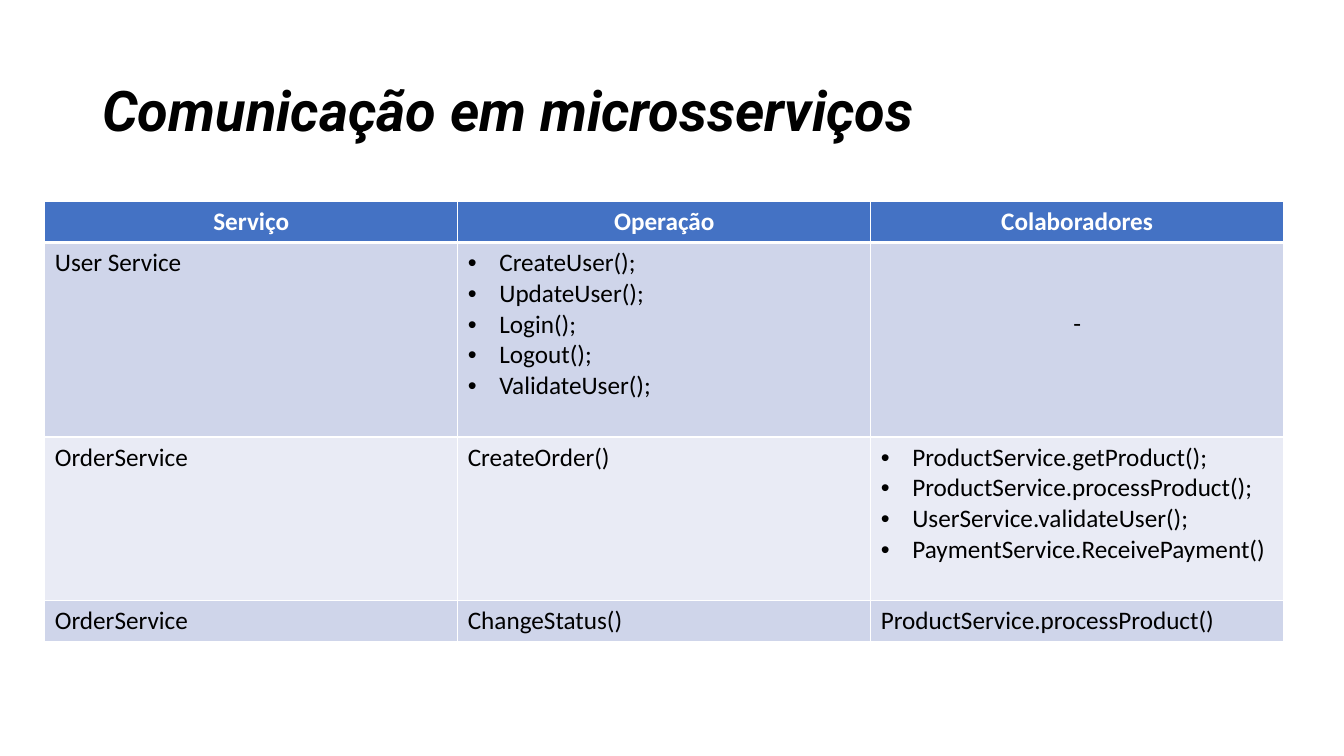
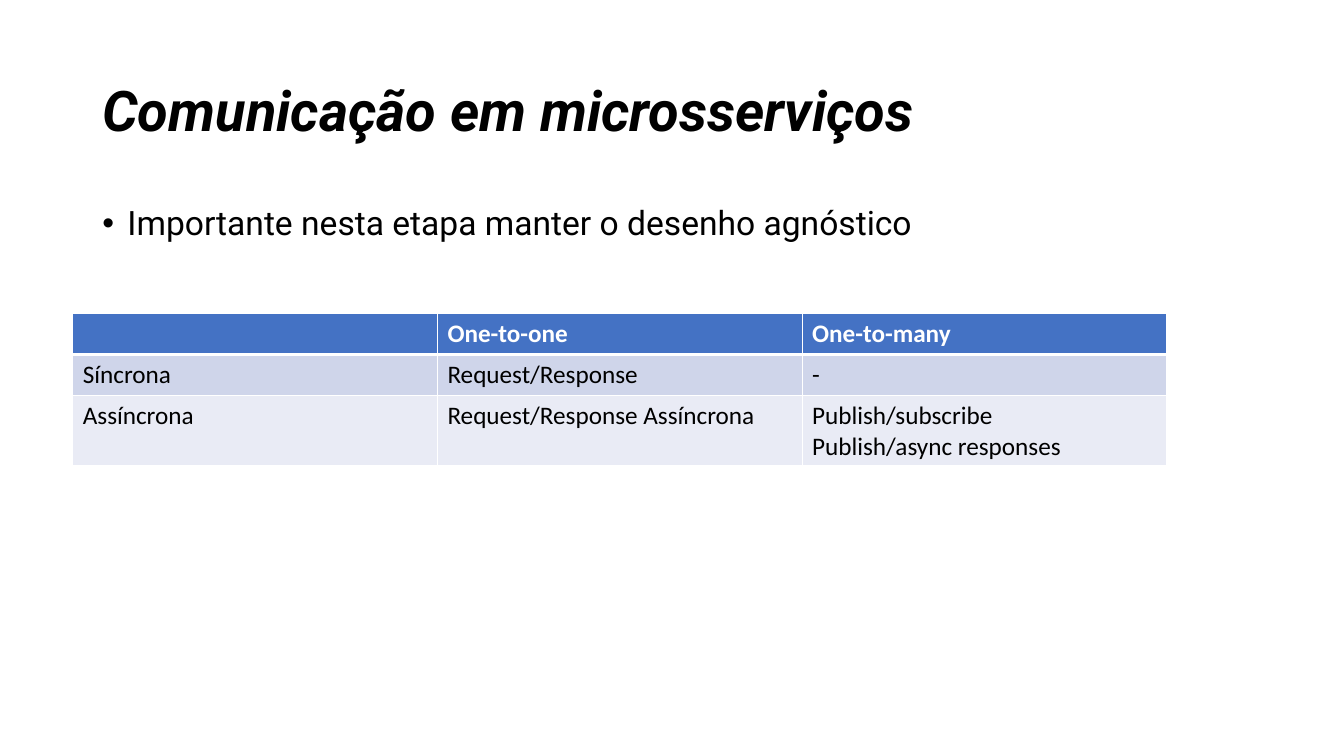
from lxml import etree
from pptx import Presentation
from pptx.dml.color import RGBColor
from pptx.enum import text
from pptx.oxml import ns
from pptx.util import Pt

BLACK = RGBColor(0x00, 0x00, 0x00)
WHITE = RGBColor(0xFF, 0xFF, 0xFF)
HEADER_BLUE = RGBColor(0x44, 0x72, 0xC4)
BANDS = (RGBColor(0xCF, 0xD5, 0xEA), RGBColor(0xE9, 0xEB, 0xF5))

HEADING_FONT = "Roboto"
TABLE_FONT = "Calibri"
TABLE_SIZE = Pt(18)
TITLE = "Comunicação em microsserviços"
ROW_HEIGHT = Pt(29.2)
LEFT = text.PP_ALIGN.LEFT
CENTER = text.PP_ALIGN.CENTER


class Deck:
    def __init__(self):
        self.presentation = Presentation()
        self.presentation.slide_width = Pt(960)
        self.presentation.slide_height = Pt(540)
        self.slide = None

    def add_slide(self, title):
        layout = self.presentation.slide_layouts.get_by_name("Title Only")
        self.slide = self.presentation.slides.add_slide(layout)
        shape = self.slide.shapes.title
        shape.left, shape.top, shape.width, shape.height = Pt(66), Pt(28.75), Pt(828), Pt(104.4)
        frame = shape.text_frame
        frame.text = title
        frame.auto_size = text.MSO_AUTO_SIZE.NONE
        frame.vertical_anchor = text.MSO_ANCHOR.MIDDLE
        paragraph = frame.paragraphs[0]
        paragraph.alignment = LEFT
        paragraph.line_spacing = 0.9
        self.set_font(paragraph, HEADING_FONT, Pt(40), bold=True)
        paragraph.font.italic = True

    def add_bullet_text(self, content, left, top, width, height):
        frame = self.slide.shapes.add_textbox(left, top, width, height).text_frame
        frame.word_wrap = True
        frame.text = content
        for paragraph in frame.paragraphs:
            paragraph.line_spacing = 0.9
            self.set_font(paragraph, HEADING_FONT, Pt(24))
            self.set_bullet(paragraph, Pt(18))

    def add_table(self, rows, left, top, column_width, row_heights, header_alignment=LEFT):
        """Add a banded table; a list in a cell becomes bulleted paragraphs."""
        columns = len(rows[0])
        table = self.slide.shapes.add_table(
            len(rows), columns, left, top, column_width * columns, sum(row_heights)
        ).table
        for column in table.columns:
            column.width = column_width
        for row_index, (values, height) in enumerate(zip(rows, row_heights)):
            table.rows[row_index].height = height
            for column_index, value in enumerate(values):
                self.fill_cell(table.cell(row_index, column_index), value, row_index, header_alignment)
        return table

    def fill_cell(self, cell, value, row_index, header_alignment):
        is_header = row_index == 0
        self.set_borders(cell, row_index)
        cell.fill.solid()
        cell.fill.fore_color.rgb = HEADER_BLUE if is_header else BANDS[(row_index - 1) % 2]
        bulleted = isinstance(value, list)
        cell.text = "\n".join(value) if bulleted else value
        for paragraph in cell.text_frame.paragraphs:
            paragraph.alignment = header_alignment if is_header else LEFT
            self.set_font(paragraph, TABLE_FONT, TABLE_SIZE, WHITE if is_header else BLACK, is_header)
            if bulleted:
                self.set_bullet(paragraph, Pt(22.5))

    @staticmethod
    def set_borders(cell, row_index):
        """Draw thin white borders, with a thick one under the header."""
        thick_side = {0: "lnB", 1: "lnT"}.get(row_index)
        properties = cell._tc.get_or_add_tcPr()
        for side in ("lnL", "lnR", "lnT", "lnB"):
            width = Pt(3 if side == thick_side else 1)
            line = etree.SubElement(properties, ns.qn(f"a:{side}"), w=str(width))
            fill = etree.SubElement(line, ns.qn("a:solidFill"))
            etree.SubElement(fill, ns.qn("a:srgbClr"), val=str(WHITE))

    @staticmethod
    def set_font(paragraph, name, size, color=BLACK, bold=False):
        font = paragraph.font
        font.name, font.size, font.bold = name, size, bold
        font.color.rgb = color

    @staticmethod
    def set_bullet(paragraph, indent):
        properties = paragraph._p.get_or_add_pPr()
        properties.set("marL", str(indent))
        properties.set("indent", str(-indent))
        bullet_font = properties.makeelement(ns.qn("a:buFont"), {"typeface": "Arial"})
        bullet = properties.makeelement(ns.qn("a:buChar"), {"char": "•"})
        defaults = properties.find(ns.qn("a:defRPr"))
        defaults.addprevious(bullet_font)
        defaults.addprevious(bullet)


def add_operations_slide(deck):
    deck.add_slide(TITLE)
    rows = [
        ["Serviço", "Operação", "Colaboradores"],
        [
            "User Service",
            ["CreateUser();", "UpdateUser();", "Login();", "Logout();", "ValidateUser();"],
            "-",
        ],
        [
            "OrderService",
            "CreateOrder()",
            [
                "ProductService.getProduct();",
                "ProductService.processProduct();",
                "UserService.validateUser();",
                "PaymentService.ReceivePayment()",
            ],
        ],
        ["OrderService", "ChangeStatus()", "ProductService.processProduct()"],
    ]
    heights = [ROW_HEIGHT, Pt(139), Pt(117), ROW_HEIGHT]
    table = deck.add_table(rows, Pt(32), Pt(144), Pt(295), heights, CENTER)
    no_collaborators = table.cell(1, 2)
    no_collaborators.margin_top = Pt(47.5)
    no_collaborators.text_frame.paragraphs[0].alignment = CENTER


def add_styles_slide(deck):
    deck.add_slide(TITLE)
    deck.add_bullet_text(
        "Importante nesta etapa manter o desenho agnóstico", Pt(66), Pt(144), Pt(828), Pt(342.6)
    )
    rows = [
        ["", "One-to-one", "One-to-many"],
        ["Síncrona", "Request/Response", "-"],
        ["Assíncrona", "Request/Response Assíncrona", "Publish/subscribe\nPublish/async responses"],
    ]
    deck.add_table(rows, Pt(52), Pt(224), Pt(260.5), [ROW_HEIGHT, ROW_HEIGHT, Pt(50.5)])


def main():
    deck = Deck()
    add_operations_slide(deck)
    add_styles_slide(deck)
    deck.presentation.save("out.pptx")


if __name__ == "__main__":
    main()
